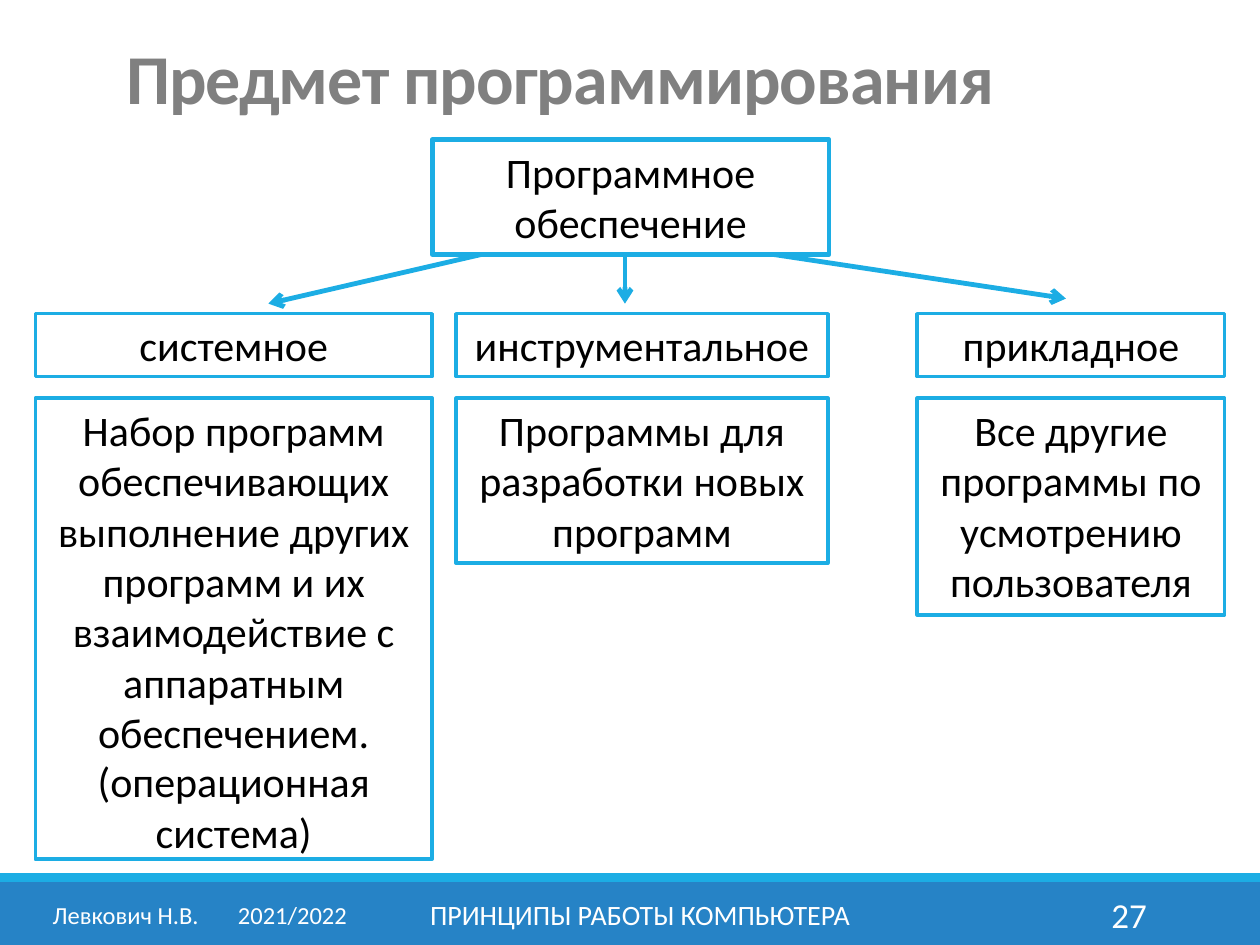
from dataclasses import dataclass

from lxml import etree
from pptx import Presentation
from pptx import util as u
from pptx.dml.color import RGBColor
from pptx.enum import shapes, text
from pptx.oxml import ns

COLORS = {
    "accent": "1CADE4",
    "bar": "2683C6",
    "title": "808080",
    "body": "000000",
    "footer": "FFFFFF",
}
BODY = {"size": u.Pt(24), "name": "Calibri", "bold": False}
TITLE = {"size": u.Pt(40), "name": "Calibri", "bold": True}
LEFT, CENTER, RIGHT = text.PP_ALIGN.LEFT, text.PP_ALIGN.CENTER, text.PP_ALIGN.RIGHT
TOP, MIDDLE = text.MSO_ANCHOR.TOP, text.MSO_ANCHOR.MIDDLE
HEAD_TOP, DETAIL_TOP, ROOT_BOTTOM = 2.49, 3.16, 2.02


@dataclass
class Branch:
    name: str
    detail: str
    x: float
    w: float
    detail_h: float
    arrow_from: float
    arrow_to: tuple[float, float]


@dataclass
class FooterItem:
    label: str
    x: float
    w: float
    size: int
    align: text.PP_ALIGN


BRANCHES = [
    Branch("системное",
           "Набор программ обеспечивающих выполнение других программ "
           "и их взаимодействие с аппаратным обеспечением.",
           0.28, 3.15, 3.66, 3.82, (2.13, 2.41)),
    Branch("инструментальное", "Программы для разработки новых программ",
           3.62, 2.95, 1.31, 4.96, (4.96, 2.41)),
    Branch("прикладное", "Все другие программы по усмотрению пользователя",
           7.28, 2.44, 1.72, 6.14, (8.46, 2.37)),
]
FOOTER = [
    FooterItem("Левкович Н.В.\t2021/2022", 0.32, 2.61, 14, LEFT),
    FooterItem("ПРИНЦИПЫ РАБОТЫ КОМПЬЮТЕРА", 3.02, 4.12, 16, CENTER),
    FooterItem("27", 8.12, 1.08, 20, RIGHT),
]


def rgb(key: str) -> RGBColor:
    return RGBColor.from_string(COLORS[key])


def place(sp, x: float, y: float, w: float, h: float) -> None:
    for key, value in {"left": x, "top": y, "width": w, "height": h}.items():
        setattr(sp, key, u.Inches(value))


def write(sp, label: str, fmt: dict, color: str, align=CENTER, anchor=TOP):
    tf = sp.text_frame
    tf.word_wrap = True
    tf.vertical_anchor = anchor
    p = tf.paragraphs[0]
    p.alignment = align
    r = p.add_run()
    r.text = label
    for key, value in fmt.items():
        setattr(r.font, key, value)
    r.font.color.rgb = rgb(color)
    return p


def add_bar(s, y: float, h: float, color: str) -> None:
    sp = s.shapes.add_shape(shapes.MSO_SHAPE.RECTANGLE, 0, u.Inches(y),
                            u.Inches(10), u.Inches(h))
    sp.shadow.inherit = False
    sp.fill.solid()
    sp.fill.fore_color.rgb = rgb(color)
    sp.line.fill.background()


def add_box(s, label: str, x: float, y: float, w: float, h: float,
            line: float = 2) -> None:
    sp = s.shapes.add_shape(shapes.MSO_SHAPE.RECTANGLE, u.Inches(x),
                            u.Inches(y), u.Inches(w), u.Inches(h))
    sp.shadow.inherit = False
    sp.fill.background()
    sp.line.color.rgb = rgb("accent")
    sp.line.width = u.Pt(line)
    write(sp, label, BODY, "body")


def add_label(s, label: str, x: float, y: float, w: float, h: float,
              fmt: dict, color: str, align=CENTER, anchor=TOP):
    sp = s.shapes.add_textbox(u.Inches(x), u.Inches(y), u.Inches(w), u.Inches(h))
    return write(sp, label, fmt, color, align, anchor)


def add_arrow(s, x: float, end: tuple[float, float]) -> None:
    cx = s.shapes.add_connector(
        shapes.MSO_CONNECTOR.STRAIGHT,
        *(u.Inches(v) for v in (x, ROOT_BOTTOM, *end)))
    cx.line.color.rgb = rgb("accent")
    cx.line.width = u.Pt(2.75)
    ln = cx.line._get_or_add_ln()
    etree.SubElement(ln, ns.qn("a:tailEnd"), type="arrow")
    etree.SubElement(cx._element.spPr, ns.qn("a:effectLst"))


def add_title(s) -> None:
    sp = s.shapes.title
    place(sp, 0.9, 0.26, 8.25, 0.8)
    p = write(sp, "Предмет программирования", TITLE, "title", LEFT, MIDDLE)
    p.line_spacing = 0.85
    p.runs[0].font._element.set("spc", "-50")


def add_footer(s) -> None:
    add_bar(s, 7, 0.5, "bar")
    add_bar(s, 6.93, 0.07, "accent")
    for item in FOOTER:
        p = add_label(s, item.label, item.x, 7.06, item.w, 0.4,
                      {**BODY, "size": u.Pt(item.size)}, "footer",
                      item.align, MIDDLE)
        if "\t" in item.label:
            tabs = etree.SubElement(p._p.get_or_add_pPr(), ns.qn("a:tabLst"))
            etree.SubElement(tabs, ns.qn("a:tab"), pos=str(u.Inches(1.47)), algn="l")


def main() -> None:
    prs = Presentation()
    prs.slide_width, prs.slide_height = u.Inches(10), u.Inches(7.5)
    s = prs.slides.add_slide(prs.slide_layouts[5])
    add_footer(s)
    add_title(s)
    add_box(s, "Программное обеспечение", 3.43, 1.11, 3.15, 0.91, 2.75)
    for b in BRANCHES:
        add_box(s, b.name, b.x, HEAD_TOP, b.w, 0.5)
        add_box(s, b.detail, b.x, DETAIL_TOP, b.w, b.detail_h)
        add_arrow(s, b.arrow_from, b.arrow_to)
    add_label(s, "(операционная система)", 0.28, 5.95, 3.15, 0.91, BODY, "body")
    prs.save("out.pptx")


if __name__ == "__main__":
    main()
